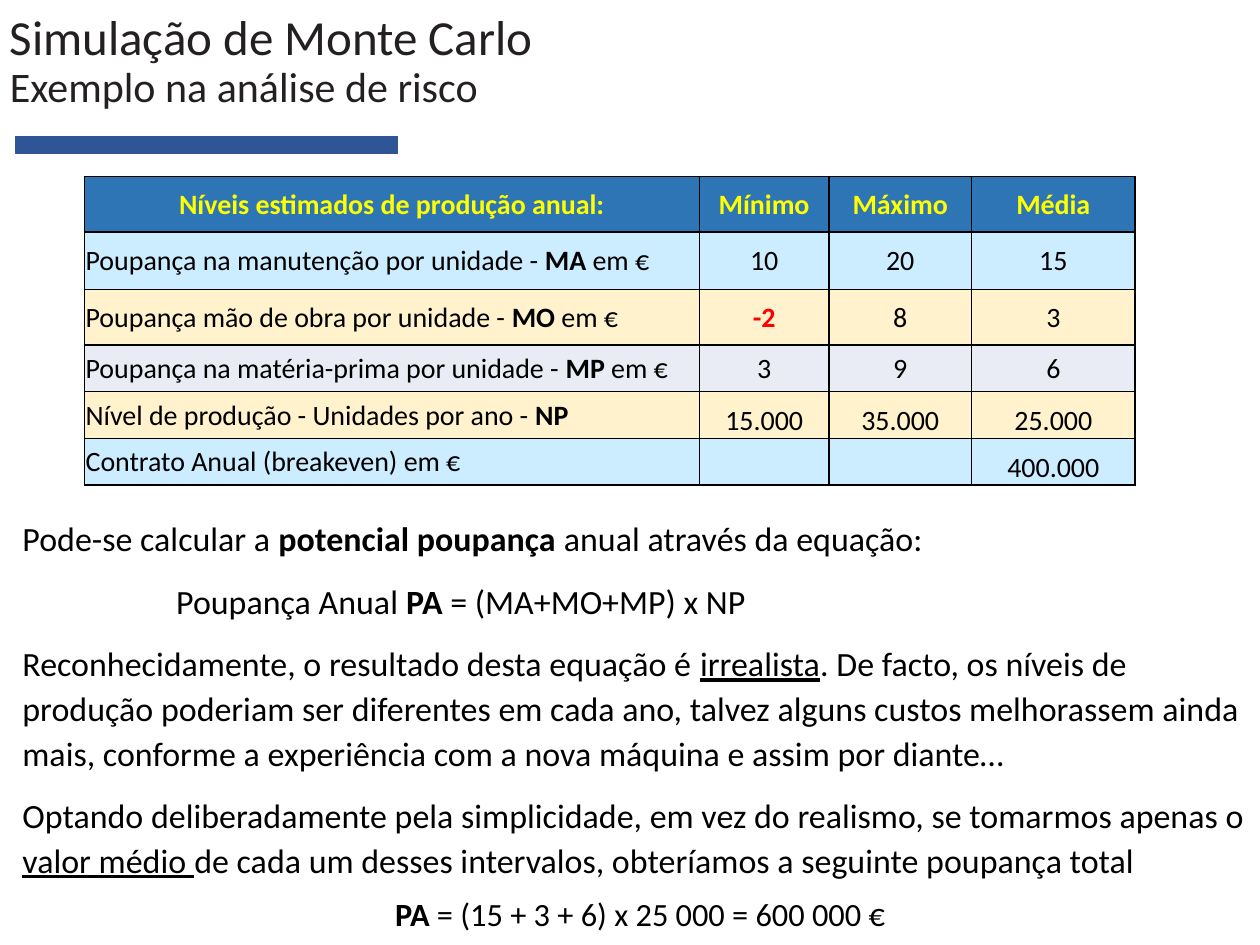
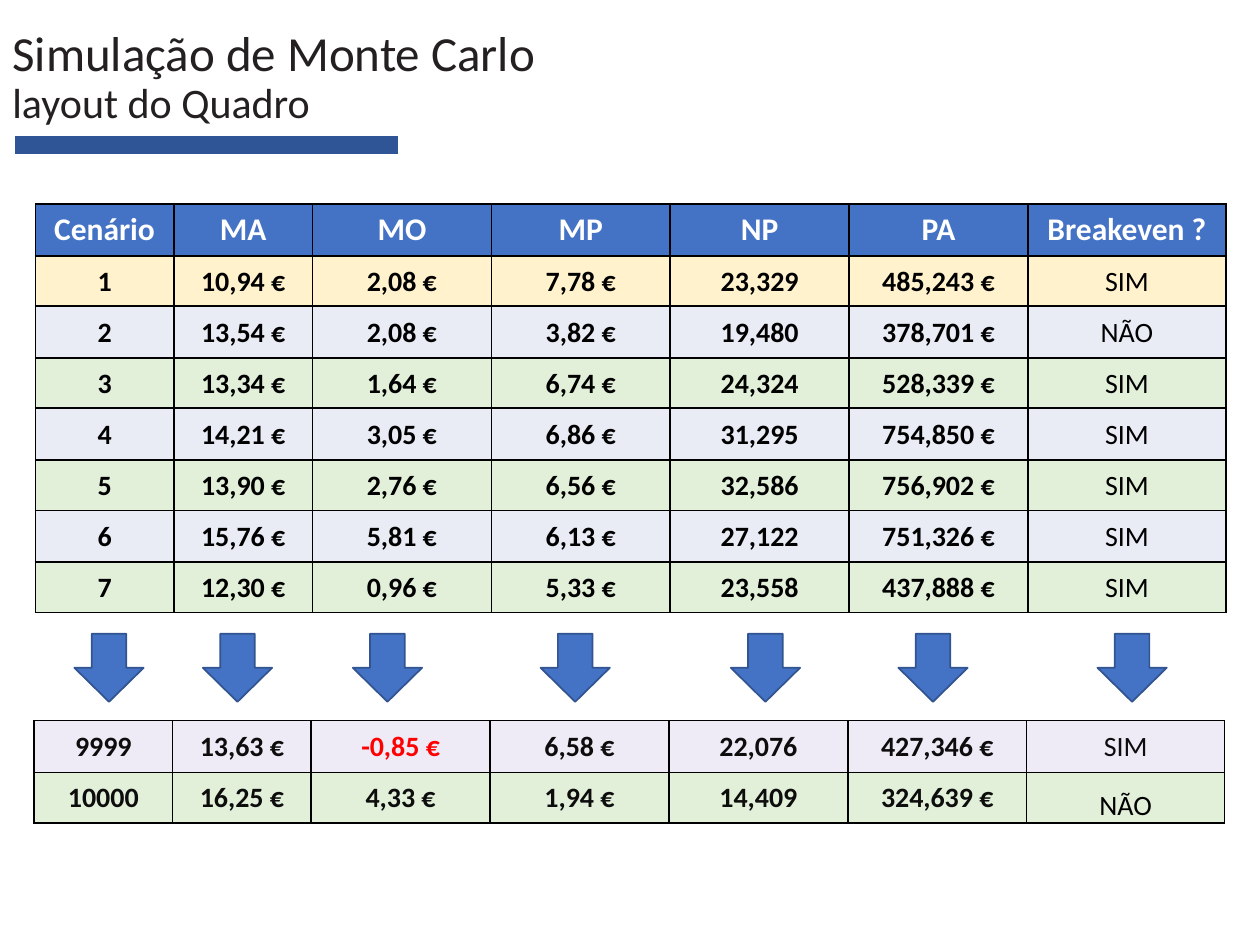
"""Build two slides on Monte Carlo simulation in risk analysis."""
from lxml import etree
from pptx import Presentation
from pptx.dml.color import RGBColor
from pptx.enum.shapes import MSO_CONNECTOR, MSO_SHAPE
from pptx.enum.text import MSO_ANCHOR, PP_ALIGN
from pptx.oxml.ns import qn
from pptx.util import Pt

PX = 9144
FONT = "Calibri"
STRAIGHT = MSO_CONNECTOR.STRAIGHT
DOWN_ARROW = MSO_SHAPE.DOWN_ARROW
MIDDLE, BOTTOM = MSO_ANCHOR.MIDDLE, MSO_ANCHOR.BOTTOM
LEFT, CENTER, JUSTIFY = PP_ALIGN.LEFT, PP_ALIGN.CENTER, PP_ALIGN.JUSTIFY

BLACK = RGBColor(0x00, 0x00, 0x00)
WHITE = RGBColor(0xFF, 0xFF, 0xFF)
RED = RGBColor(0xFF, 0x00, 0x00)
YELLOW = RGBColor(0xFF, 0xFF, 0x00)
NEAR_BLACK = RGBColor(0x0D, 0x0D, 0x0D)
TITLE_INK = RGBColor(0x24, 0x20, 0x21)
BAND_BLUE = RGBColor(0x2F, 0x55, 0x97)
HEADER_BLUE = RGBColor(0x2E, 0x75, 0xB6)
ACCENT_BLUE = RGBColor(0x44, 0x72, 0xC4)
ARROW_EDGE = RGBColor(0x32, 0x54, 0x91)
SKY = RGBColor(0xCC, 0xEC, 0xFF)
CREAM = RGBColor(0xFF, 0xF2, 0xCC)
GREY_BLUE = RGBColor(0xE9, 0xEB, 0xF5)
GREEN = RGBColor(0xE2, 0xF0, 0xD9)
LILAC = RGBColor(0xEE, 0xEB, 0xF7)


def write(para, text, size, color):
    """Write text in which *stars* mark bold and _underscores_ mark underline."""
    para.font.name, para.font.size, para.font.color.rgb = FONT, Pt(size), color
    for i, part in enumerate(text.split("*")):
        for j, piece in enumerate(part.split("_")):
            if piece:
                span = para.add_run()
                span.text = piece
                span.font.bold = i % 2 == 1
                span.font.underline = j % 2 == 1


def add_grid(page, left, top, widths, heights, rows, fills, ink=BLACK):
    """Add a bordered table with one fill per row and return it."""
    frame = page.shapes.add_table(len(rows), len(widths), left * PX, top * PX,
                                  sum(widths) * PX, sum(heights) * PX)
    table = frame.table
    table.first_row = table.horz_banding = False
    for column, width in zip(table.columns, widths):
        column.width = width * PX
    for row, height, texts, fill in zip(table.rows, heights, rows, fills):
        row.height = height * PX
        for cell, text in zip(row.cells, texts):
            cell.vertical_anchor = MIDDLE
            cell.margin_left = cell.margin_right = cell.margin_top = PX
            cell.margin_bottom = 0
            para = cell.text_frame.paragraphs[0]
            para.alignment = CENTER
            write(para, text, 16, RED if text.startswith("*-") else ink)
            for side in ("a:lnL", "a:lnR", "a:lnT", "a:lnB"):
                border = etree.SubElement(cell._tc.get_or_add_tcPr(), qn(side), w="12700")
                paint = etree.SubElement(border, qn("a:solidFill"))
                etree.SubElement(paint, qn("a:srgbClr"), val=str(BLACK))
            cell.fill.solid()
            cell.fill.fore_color.rgb = fill
    return table


deck = Presentation()
deck.slide_width, deck.slide_height = 1000 * PX, 750 * PX

pages = []
for left, top, subtitle in [(-2, -11, "Exemplo na análise de risco"), (0, 2, "layout do Quadro")]:
    page = deck.slides.add_slide(deck.slide_layouts[6])
    pages.append(page)
    band = page.shapes.add_connector(STRAIGHT, 12 * PX, 115 * PX, 316 * PX, 115 * PX)
    band.line.color.rgb, band.line.width = BAND_BLUE, Pt(10)
    etree.SubElement(band._element.spPr, qn("a:effectLst"))
    box = page.shapes.add_textbox(left * PX, top * PX, 1000 * PX, 121 * PX)
    box.text_frame.word_wrap = True
    box.text_frame.vertical_anchor = MIDDLE
    para = box.text_frame.paragraphs[0]
    para.line_spacing = 0.9
    write(para, "Simulação de Monte Carlo", 28, TITLE_INK)
    para.add_line_break()
    span = para.add_run()
    span.text, span.font.size = subtitle, Pt(24)
example_page, layout_page = pages

savings_rows = [
    ("*Níveis estimados de produção anual:*", "*Mínimo*", "*Máximo*", "*Média*"),
    ("Poupança na manutenção por unidade - *MA* em €", "10", "20", "15"),
    ("Poupança mão de obra por unidade - *MO* em €", "*-2*", "8", "3"),
    ("Poupança na matéria-prima por unidade - *MP* em €", "3", "9", "6"),
    ("Nível de produção - Unidades por ano - *NP*", "15.000", "35.000", "25.000"),
    ("Contrato Anual (breakeven) em €", "", "", "400.000"),
]
savings = add_grid(example_page, 67, 140, [488, 103, 113, 130], [44, 46, 44, 37, 37, 37],
                   savings_rows, [HEADER_BLUE, SKY, CREAM, GREY_BLUE, CREAM, SKY])
for column in range(4):
    savings.cell(0, column).text_frame.paragraphs[0].font.color.rgb = YELLOW
for row in range(1, 6):
    savings.cell(row, 0).text_frame.paragraphs[0].alignment = JUSTIFY
for row in (4, 5):
    for column in range(1, 4):
        savings.cell(row, column).vertical_anchor = BOTTOM

explanation = [
    ("Pode-se calcular a *potencial poupança *anual através da equação:", 19.4, 10, 0, LEFT),
    ("Poupança Anual *PA *= (MA+MO+MP) x NP", 19.4, 10, 122, LEFT),
    ("Reconhecidamente, o resultado desta equação é _irrealista_. De facto, os níveis de "
     "produção poderiam ser diferentes em cada ano, talvez alguns custos melhorassem ainda "
     "mais, conforme a experiência com a nova máquina e assim por diante…", 19.4, 10, 0, LEFT),
    ("Optando deliberadamente pela simplicidade, em vez do realismo, se tomarmos apenas o "
     "_valor médio _de cada um desses intervalos, obteríamos a seguinte poupança total",
     19.4, 10, 0, LEFT),
    ("*PA* = (15 + 3 + 6) x 25 000 = 600 000 €", 18.5, 6, 0, CENTER),
]
box = example_page.shapes.add_textbox(8 * PX, 403 * PX, 1000 * PX, 369 * PX)
box.text_frame.word_wrap = True
for i, (text, size, space, indent, alignment) in enumerate(explanation):
    para = box.text_frame.add_paragraph() if i else box.text_frame.paragraphs[0]
    para.alignment, para.line_spacing, para.space_before = alignment, 1.1, Pt(space)
    para._p.get_or_add_pPr().set("marL", str(indent * PX))
    write(para, text, size, BLACK)

scenario_widths = [110, 110, 142, 142, 142, 142, 157]
scenario_rows = [
    ("*Cenário*", "*MA*", "*MO*", "*MP*", "*NP*", "*PA*", "*Breakeven ?*"),
    ("*1*", "*10,94 €*", "*2,08 €*", "*7,78 €*", "*23,329*", "*485,243 €*", "SIM"),
    ("*2*", "*13,54 €*", "*2,08 €*", "*3,82 €*", "*19,480*", "*378,701 €*", "NÃO"),
    ("*3*", "*13,34 €*", "*1,64 €*", "*6,74 €*", "*24,324*", "*528,339 €*", "SIM"),
    ("*4*", "*14,21 €*", "*3,05 €*", "*6,86 €*", "*31,295*", "*754,850 €*", "SIM"),
    ("*5*", "*13,90 €*", "*2,76 €*", "*6,56 €*", "*32,586*", "*756,902 €*", "SIM"),
    ("*6*", "*15,76 €*", "*5,81 €*", "*6,13 €*", "*27,122*", "*751,326 €*", "SIM"),
    ("*7*", "*12,30 €*", "*0,96 €*", "*5,33 €*", "*23,558*", "*437,888 €*", "SIM"),
]
scenarios = add_grid(layout_page, 28, 162, scenario_widths, [41, 40] * 4, scenario_rows,
                     [ACCENT_BLUE, CREAM] + [GREY_BLUE, GREEN] * 3)
for column in range(7):
    cell = scenarios.cell(0, column)
    cell.margin_left = cell.margin_right = 10 * PX
    cell.margin_top = cell.margin_bottom = 5 * PX
    font = cell.text_frame.paragraphs[0].font
    font.size, font.color.rgb = Pt(18), WHITE

last_rows = [
    ("*9999*", "*13,63 €*", "*-0,85 €*", "*6,58 €*", "*22,076*", "*427,346 €*", "SIM"),
    ("*10000*", "*16,25 €*", "*4,33 €*", "*1,94 €*", "*14,409*", "*324,639 €*", "NÃO"),
]
last_scenarios = add_grid(layout_page, 27, 572, scenario_widths, [41, 40], last_rows,
                          [LILAC, GREEN], NEAR_BLACK)
last_answer = last_scenarios.cell(1, 6)
last_answer.vertical_anchor = BOTTOM
last_answer.text_frame.paragraphs[0].font.color.rgb = BLACK

for left in (59, 161, 280, 429, 580, 713, 871):
    arrow = layout_page.shapes.add_shape(DOWN_ARROW, left * PX, 503 * PX, 55 * PX, 54 * PX)
    arrow.shadow.inherit = False
    arrow.fill.solid()
    arrow.fill.fore_color.rgb = ACCENT_BLUE
    arrow.line.color.rgb, arrow.line.width = ARROW_EDGE, Pt(1)

deck.save("out.pptx")
